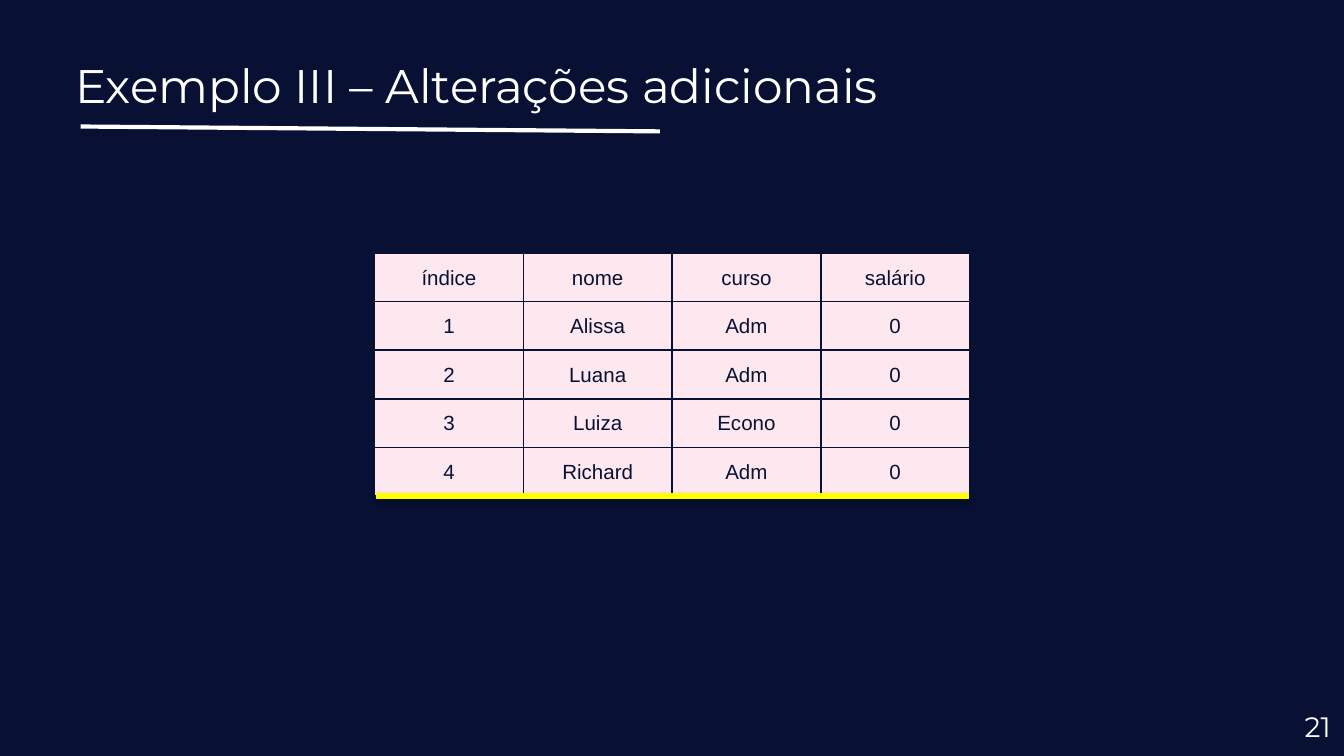
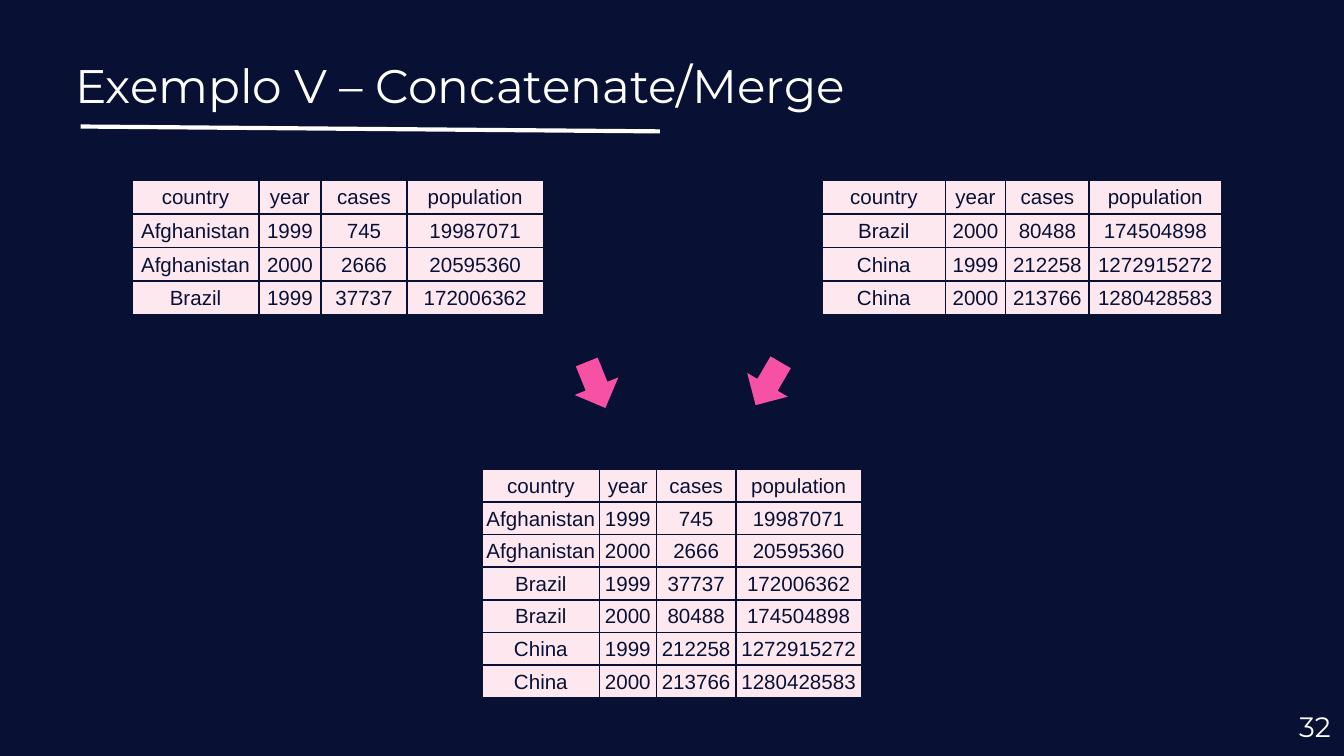
from lxml import etree
from pptx import Presentation
from pptx.dml.color import RGBColor
from pptx.enum import shapes, text
from pptx.oxml import ns
from pptx.util import Pt

# Palette and fonts
NAVY = RGBColor(0x08, 0x11, 0x33)
BLUSH = RGBColor(0xFD, 0xE8, 0xF0)
PINK = RGBColor(0xF7, 0x51, 0xA5)
YELLOW = RGBColor(0xFF, 0xFF, 0x00)
WHITE = RGBColor(0xFF, 0xFF, 0xFF)
TITLE_FONT, TABLE_FONT = "Montserrat", "Arial"

# Content
STUDENTS = [
    ("índice", "nome", "curso", "salário"),
    ("1", "Alissa", "Adm", "0"),
    ("2", "Luana", "Adm", "0"),
    ("3", "Luiza", "Econo", "0"),
    ("4", "Richard", "Adm", "0"),
]
HEADER = [("country", "year", "cases", "population")]
FIRST_HALF = [
    ("Afghanistan", "1999", "745", "19987071"),
    ("Afghanistan", "2000", "2666", "20595360"),
    ("Brazil", "1999", "37737", "172006362"),
]
SECOND_HALF = [
    ("Brazil", "2000", "80488", "174504898"),
    ("China", "1999", "212258", "1272915272"),
    ("China", "2000", "213766", "1280428583"),
]
EQUAL_COLUMNS = (1, 1, 1, 1)
COUNTRY_COLUMNS = (94, 46, 64, 101)

# Each slide: tables are (rows, column shares, left, top, width, height),
# underlines are (left, right, y), arrows are (left, top, rotation)
SLIDES = [
    {
        "title": "Exemplo III – Alterações adicionais",
        "number": "21",
        "tables": [(STUDENTS, EQUAL_COLUMNS, 200.7, 135.5, 318.8, 130.3)],
        "underlines": [(201.6, 519.1, 265.7)],
        "arrows": [],
    },
    {
        "title": "Exemplo V – Concatenate/Merge",
        "number": "32",
        "tables": [
            (HEADER + SECOND_HALF, COUNTRY_COLUMNS, 440.6, 96.4, 213.8, 72.4),
            (HEADER + FIRST_HALF, COUNTRY_COLUMNS, 70.8, 96.4, 220.3, 72.4),
            (HEADER + FIRST_HALF + SECOND_HALF, COUNTRY_COLUMNS,
             258.5, 251.5, 203, 122.4),
        ],
        "underlines": [],
        "arrows": [(398.2, 193, 120.3), (306, 193.7, 68)],
    },
]


def add_text(page, words, place, size, align, anchor):
    box = page.shapes.add_textbox(*map(Pt, place))
    frame = box.text_frame
    frame.text = words
    frame.word_wrap = True
    frame.vertical_anchor = anchor
    frame.margin_left = frame.margin_right = Pt(7.2)
    frame.margin_top = frame.margin_bottom = Pt(7.2)
    para = frame.paragraphs[0]
    para.alignment = align
    font = para.runs[0].font
    font.name, font.size, font.color.rgb = TITLE_FONT, Pt(size), WHITE


def add_line(page, start, end, color, width, shadow=False):
    line = page.shapes.add_connector(
        shapes.MSO_CONNECTOR.STRAIGHT, *map(Pt, start + end))
    line.line.color.rgb = color
    line.line.width = Pt(width)
    effects = etree.SubElement(line._element.spPr, ns.qn("a:effectLst"))
    if shadow:
        outer = etree.SubElement(
            effects, ns.qn("a:outerShdw"), blurRad=str(Pt(3.1)),
            dist=str(Pt(1.8)), dir="5400000", rotWithShape="0")
        black = etree.SubElement(outer, ns.qn("a:srgbClr"), val="000000")
        etree.SubElement(black, ns.qn("a:alpha"), val="35000")


def style_cell(cell, words):
    # Borders precede the fill in the cell properties
    properties = cell._tc.get_or_add_tcPr()
    for side in ("lnL", "lnR", "lnT", "lnB"):
        border = etree.SubElement(properties, ns.qn("a:" + side), w=str(Pt(1)))
        solid = etree.SubElement(border, ns.qn("a:solidFill"))
        etree.SubElement(solid, ns.qn("a:srgbClr"), val=str(NAVY))
    cell.fill.solid()
    cell.fill.fore_color.rgb = BLUSH
    cell.margin_left = cell.margin_right = cell.margin_top = Pt(0.72)
    cell.margin_bottom = 0
    cell.vertical_anchor = text.MSO_ANCHOR.MIDDLE
    cell.text_frame.text = words
    para = cell.text_frame.paragraphs[0]
    para.alignment = text.PP_ALIGN.CENTER
    font = para.runs[0].font
    font.name, font.size, font.color.rgb = TABLE_FONT, Pt(11), NAVY


def add_data_table(page, rows, shares, left, top, width, height):
    table = page.shapes.add_table(
        len(rows), len(shares), Pt(left), Pt(top), Pt(width), Pt(height)).table
    table.first_row = table.horz_banding = False
    for column, share in zip(table.columns, shares):
        column.width = Pt(width * share / sum(shares))
    for row, values in zip(table.rows, rows):
        row.height = Pt(height / len(rows))
        for cell, words in zip(row.cells, values):
            style_cell(cell, words)


def add_arrow(page, left, top, rotation):
    arrow = page.shapes.add_shape(
        shapes.MSO_SHAPE.RIGHT_ARROW, Pt(left), Pt(top), Pt(26.6), Pt(25.2))
    arrow.rotation = rotation
    arrow.shadow.inherit = False
    arrow.fill.solid()
    arrow.fill.fore_color.rgb = PINK
    arrow.line.fill.background()


def add_page(deck, content):
    page = deck.slides.add_slide(deck.slide_layouts[6])
    page.background.fill.solid()
    page.background.fill.fore_color.rgb = NAVY

    # Title, its rule and the slide number
    add_line(page, (43.2, 67.8), (353.5, 70.4), WHITE, 2.25)
    add_text(page, content["title"], (33.1, 23, 671, 45.4), 25.2,
             text.PP_ALIGN.LEFT, text.MSO_ANCHOR.TOP)
    add_text(page, content["number"], (676.8, 373.7, 43.2, 31), 15,
             text.PP_ALIGN.RIGHT, text.MSO_ANCHOR.MIDDLE)

    # Body
    for table in content["tables"]:
        add_data_table(page, *table)
    for left, right, y in content["underlines"]:
        add_line(page, (left, y), (right, y), YELLOW, 3, shadow=True)
    for arrow in content["arrows"]:
        add_arrow(page, *arrow)


def main():
    deck = Presentation()
    deck.slide_width, deck.slide_height = Pt(720), Pt(405)
    for content in SLIDES:
        add_page(deck, content)
    deck.save("out.pptx")


if __name__ == "__main__":
    main()
